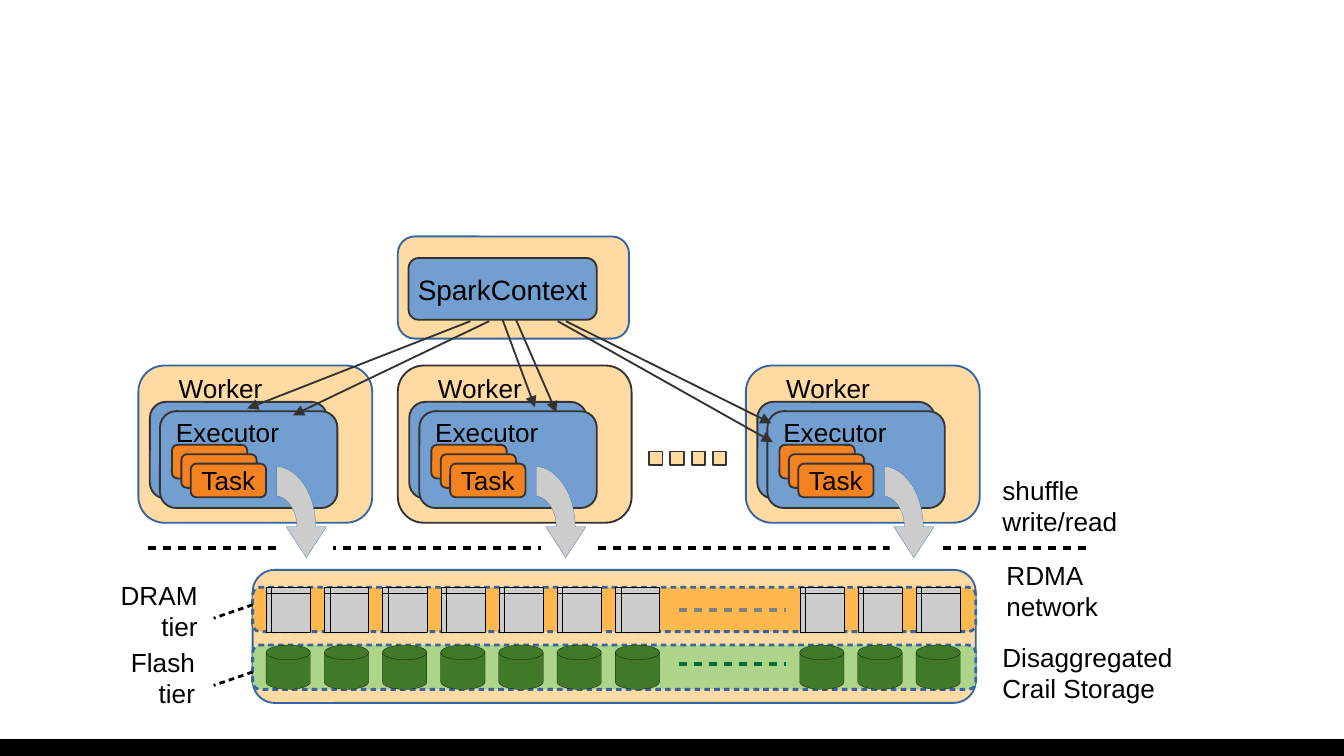
import pptx
import pptx.dml.color
import pptx.enum.shapes
import pptx.enum.text
import pptx.oxml
import pptx.oxml.ns
import pptx.util
from pptx.util import Inches

SHAPE = pptx.enum.shapes.MSO_SHAPE
ALIGN = pptx.enum.text.PP_ALIGN
NAMESPACE = pptx.oxml.ns.nsdecls("a")

BLACK, WHITE, DARK = "000000", "FFFFFF", "333333"
BLUE_EDGE, BLUE = "3465A4", "729FCF"
CREAM, ORANGE, GRAY = "FFDAA2", "F58220", "CCCCCC"
HAIRLINE = 0.1
BOTTOM = 2


def color(hex_string):
    return pptx.dml.color.RGBColor.from_string(hex_string)


def write(shape, text, size=14, align=ALIGN.LEFT, margins=(0.11, 0.06, 0.11, 0.06),
          middle=False):
    """Put text into a shape, one paragraph per line."""
    frame = shape.text_frame
    frame.word_wrap = False
    (frame.margin_left, frame.margin_top,
     frame.margin_right, frame.margin_bottom) = (Inches(value) for value in margins)
    anchor = pptx.enum.text.MSO_ANCHOR
    frame.vertical_anchor = anchor.MIDDLE if middle else anchor.TOP
    for index, line in enumerate(text.split("\n")):
        paragraph = frame.paragraphs[0] if index == 0 else frame.add_paragraph()
        paragraph.alignment = align
        run = paragraph.add_run()
        run.text = line
        run.font.name = "Arial"
        run.font.size = pptx.util.Pt(size)
        run.font.color.rgb = color(BLACK)


def curve(start, control_1, control_2, end, steps=12):
    """Return points along a cubic Bezier curve."""
    points = []
    for step in range(steps + 1):
        t = step / steps
        weights = ((1 - t) ** 3, 3 * t * (1 - t) ** 2, 3 * t * t * (1 - t), t ** 3)
        controls = (start, control_1, control_2, end)
        points.append(tuple(sum(w * p[axis] for w, p in zip(weights, controls))
                            for axis in (0, 1)))
    return points


class Diagram:
    """Holds the slide and the common look of its elements."""

    def __init__(self, slide):
        self.slide = slide

    def paint(self, shape, fill, line, weight, dashed=False):
        shape.shadow.inherit = False
        shape.fill.solid()
        shape.fill.fore_color.rgb = color(fill)
        self.stroke(shape.line, line, weight, dashed)

    def stroke(self, line, hex_string, weight, dashed=False):
        line.color.rgb = color(hex_string)
        line.width = pptx.util.Pt(weight)
        if dashed:
            line._get_or_add_ln().append(pptx.oxml.parse_xml(
                f'<a:custDash {NAMESPACE}><a:ds d="200000" sp="150000"/></a:custDash>'))

    def shape(self, kind, left, top, width, height, fill, line=DARK, weight=1,
              dashed=False):
        shape = self.slide.shapes.add_shape(
            kind, Inches(left), Inches(top), Inches(width), Inches(height))
        self.paint(shape, fill, line, weight, dashed)
        return shape

    def box(self, *place, **look):
        return self.shape(SHAPE.ROUNDED_RECTANGLE, *place, **look)

    def label(self, text, left, top, width, height, align=ALIGN.LEFT):
        """Add a text box whose inset on the ragged side is left free."""
        shape = self.slide.shapes.add_textbox(
            Inches(left), Inches(top), Inches(width), Inches(height))
        margins = (0, 0.05, 0.1, 0.05) if align == ALIGN.RIGHT else (0.1, 0.05, 0, 0.05)
        write(shape, text, align=align, margins=margins)

    def line(self, start, end, hex_string, weight, dashed=False, arrow=False):
        connector = self.slide.shapes.add_connector(
            pptx.enum.shapes.MSO_CONNECTOR.STRAIGHT,
            *(Inches(value) for value in start + end))
        self.stroke(connector.line, hex_string, weight, dashed)
        if arrow:
            connector.line._get_or_add_ln().append(pptx.oxml.parse_xml(
                f'<a:tailEnd {NAMESPACE} type="triangle"/>'))
        connector._element.spPr.append(
            pptx.oxml.parse_xml(f"<a:effectLst {NAMESPACE}/>"))
        return connector

    def outline(self, points, fill, line):
        corners = [(Inches(x), Inches(y)) for x, y in points]
        builder = self.slide.shapes.build_freeform(*corners[0], scale=1.0)
        builder.add_line_segments(corners[1:], close=True)
        self.paint(builder.convert_to_shape(), fill, line, HAIRLINE)

    def worker(self, x, edge):
        self.box(x, 2.72, 1.74, 1.17, fill=CREAM, line=edge)
        for layer in range(2):
            self.box(x + 0.085 + 0.075 * layer, 2.99 + 0.07 * layer, 1.32, 0.72,
                     fill=BLUE)
        for layer in range(3):
            task = self.box(x + 0.25 + 0.07 * layer, 3.31 + 0.07 * layer,
                            0.56, 0.25, fill=ORANGE)
        write(task, "Task", align=ALIGN.CENTER, middle=True)
        self.label("Executor", x + 0.18, 3.05, 0.97, 0.32)
        self.label("Worker", x + 0.2, 2.72, 0.82, 0.32)

    def shuffle_arrow(self, x):
        """Curved arrow over a gap in the network line."""
        self.shape(SHAPE.RECTANGLE, x + 1.07, 3.97, 0.37, 0.2, WHITE, WHITE, HAIRLINE)
        inner = curve((1.18, 3.92), (1.18, 3.8), (1.11, 3.7), (1.03, 3.69))
        outer = curve((1.03, 3.47), (1.19, 3.48), (1.32, 3.68), (1.32, 3.92))
        head = [(1.4, 3.92), (1.25, 4.15), (1.1, 3.92)]
        points = [(x + dx, y) for dx, y in inner + outer + head]
        self.outline(points, GRAY, BLUE_EDGE)

    def tier(self, name, top, fill, unit, unit_fill, dash_color, dash_y,
             pointer_y, text_place):
        self.box(1.88, top, 5.38, 0.33, fill=fill, line=BLUE_EDGE,
                 weight=1.5, dashed=True)
        for first, count in ((1.98, 7), (5.95, 3)):
            for index in range(count):
                self.shape(unit, first + 0.433 * index, top, 0.33, 0.33,
                           unit_fill, BLACK, HAIRLINE)
        self.line((5.05, dash_y), (5.85, dash_y), dash_color, 2.3, dashed=True)
        self.line((1.88, pointer_y), (1.59, pointer_y + 0.1), BLACK, 1.5, dashed=True)
        self.label(name, *text_place, align=ALIGN.RIGHT)


def main():
    presentation = pptx.Presentation()
    presentation.slide_width = Inches(10)
    presentation.slide_height = Inches(5.625)
    slide = presentation.slides.add_slide(presentation.slide_layouts[6])
    diagram = Diagram(slide)

    footer = diagram.shape(SHAPE.RECTANGLE, 0, 5.5, 10, 0.125, BLACK)
    footer.line.fill.background()

    diagram.box(1.88, 4.24, 5.38, 0.99, fill=CREAM, line=BLUE_EDGE)
    for index in range(4):
        diagram.shape(SHAPE.RECTANGLE, 4.83 + 0.158 * index, 3.36, 0.1, 0.1, CREAM)

    workers = ((1.03, BLUE_EDGE), (2.96, DARK), (5.55, BLUE_EDGE))
    for x, edge in workers:
        diagram.worker(x, edge)

    diagram.tier("DRAM\ntier", 4.37, "FDB94D", SHAPE.FLOWCHART_INTERNAL_STORAGE,
                 GRAY, "808080", 4.54, 4.5, (0.8, 4.26, 0.77, 0.54))
    diagram.tier("Flash\ntier", 4.8, "ADD58A", SHAPE.FLOWCHART_MAGNETIC_DISK,
                 "407927", "006C3B", 4.94, 5, (0.88, 4.76, 0.67, 0.54))

    diagram.line((1.1, 4.08), (8.1, 4.08), BLACK, 2.3, dashed=True)
    for x, _ in workers:
        diagram.shuffle_arrow(x)
    diagram.label("shuffle\nwrite/read", 7.36, 3.48, 1.05, 0.6)
    diagram.label("RDMA\nnetwork", 7.39, 4.11, 0.94, 0.6)
    diagram.label("Disaggregated\nCrail Storage", 7.36, 4.72, 1.47, 0.54)

    diagram.box(2.96, 1.76, 1.72, 0.76, fill=CREAM, line=BLUE_EDGE)
    context = diagram.box(3.04, 1.92, 1.4, 0.46, fill=BLUE)
    write(context, "SparkContext", size=15, align=ALIGN.CENTER, middle=True)
    arrows = (((3.5, 2.39), (1.84, 3.04)), ((3.64, 2.39), (2.18, 3.09)),
              ((3.84, 2.38), (4.14, 3.07)), ((4.15, 2.39), (5.75, 3.29)),
              ((4.21, 2.39), (5.74, 3.15)))
    for start, end in arrows:
        diagram.line(start, end, DARK, 1, arrow=True)
    center_arrow = diagram.line((3.74, 2.38), (3.98, 3.03), DARK, 1, arrow=True)
    center_arrow.begin_connect(context, BOTTOM)

    presentation.save("out.pptx")


if __name__ == "__main__":
    main()
